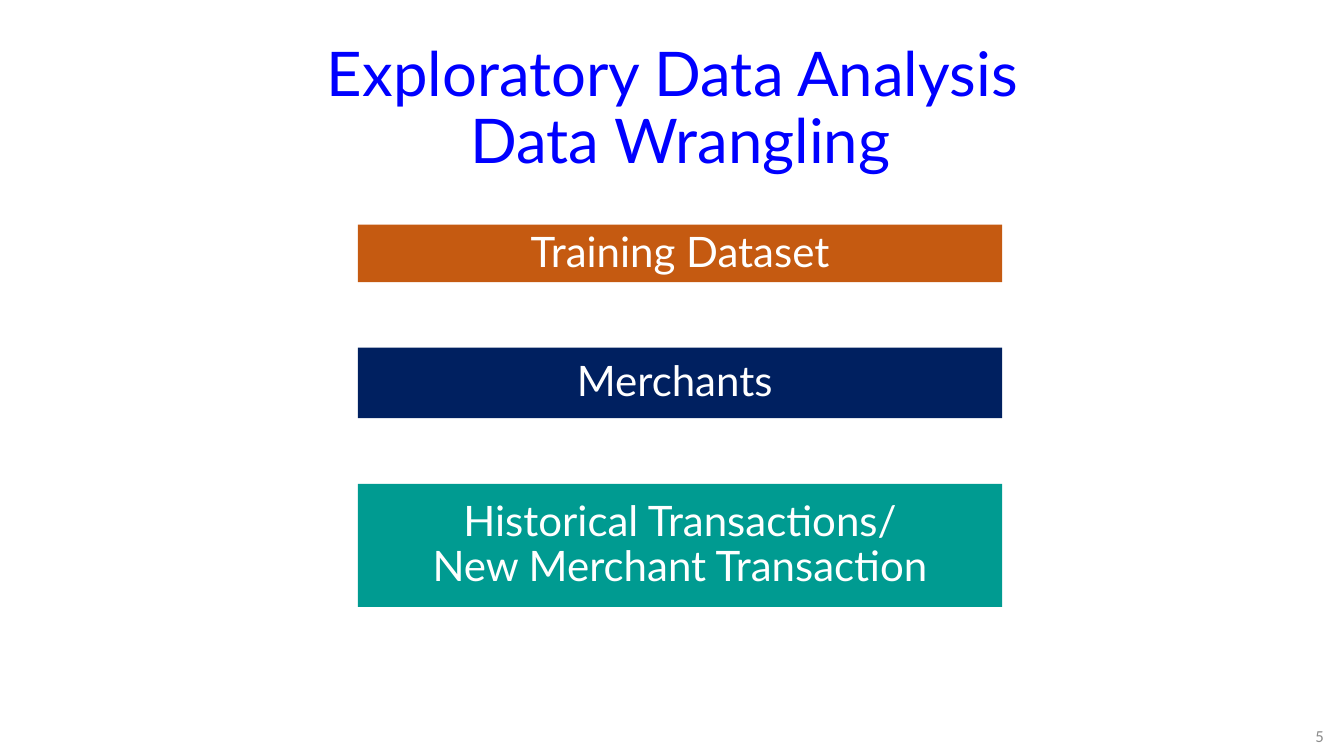
"""Build the data wrangling slide with its three dataset bars."""
import pptx
import pptx.dml.color
import pptx.enum.shapes
import pptx.enum.text
import pptx.util

Inches = pptx.util.Inches
ALIGN = pptx.enum.text.PP_ALIGN

TITLE = "Exploratory Data Analysis \vData Wrangling"
PAGE_NUMBER = "5"
BARS = [
    ("Training Dataset", 0.57, "C55A11"),
    ("Merchants ", 0.7, "002060"),
    ("Historical Transactions/\nNew Merchant Transaction", 1.22, "009B91"),
]
BAR_LEFT, BAR_TOP, BAR_WIDTH, BAR_GAP = 3.55, 2.23, 6.39, 0.65


def rgb(code):
    return pptx.dml.color.RGBColor.from_string(code)


def write(shape, text, size, font, color, align=ALIGN.CENTER, spacing=0.9):
    frame = shape.text_frame
    frame.text = text
    frame.word_wrap = True
    frame.auto_size = pptx.enum.text.MSO_AUTO_SIZE.NONE
    frame.vertical_anchor = pptx.enum.text.MSO_ANCHOR.MIDDLE
    for para in frame.paragraphs:
        para.alignment = align
        para.line_spacing = spacing
        para.font.size = pptx.util.Pt(size)
        para.font.name = font
        para.font.color.rgb = rgb(color)


def main():
    deck = pptx.Presentation()
    deck.slide_width, deck.slide_height = Inches(13.33), Inches(7.5)
    page = deck.slides.add_slide(deck.slide_layouts.get_by_name("Title Only"))

    title = page.shapes.title
    title.left, title.top = Inches(1.55), Inches(0.48)
    title.width, title.height = Inches(10.4), Inches(1.22)
    write(title, TITLE, 44, "Lato", "0000FF")

    top = BAR_TOP
    for label, height, color in BARS:
        bar = page.shapes.add_shape(
            pptx.enum.shapes.MSO_SHAPE.RECTANGLE,
            Inches(BAR_LEFT), Inches(top), Inches(BAR_WIDTH), Inches(height))
        bar.shadow.inherit = False
        bar.fill.solid()
        bar.fill.fore_color.rgb = rgb(color)
        bar.line.fill.background()
        write(bar, label, 30, "Lato", "FFFFFF")
        top += height + BAR_GAP

    number = page.shapes.add_textbox(Inches(10.23), Inches(7.1), Inches(3), Inches(0.4))
    write(number, PAGE_NUMBER, 12, "Calibri", "8C8C8C", ALIGN.RIGHT, 1.0)

    deck.save("out.pptx")


if __name__ == "__main__":
    main()
